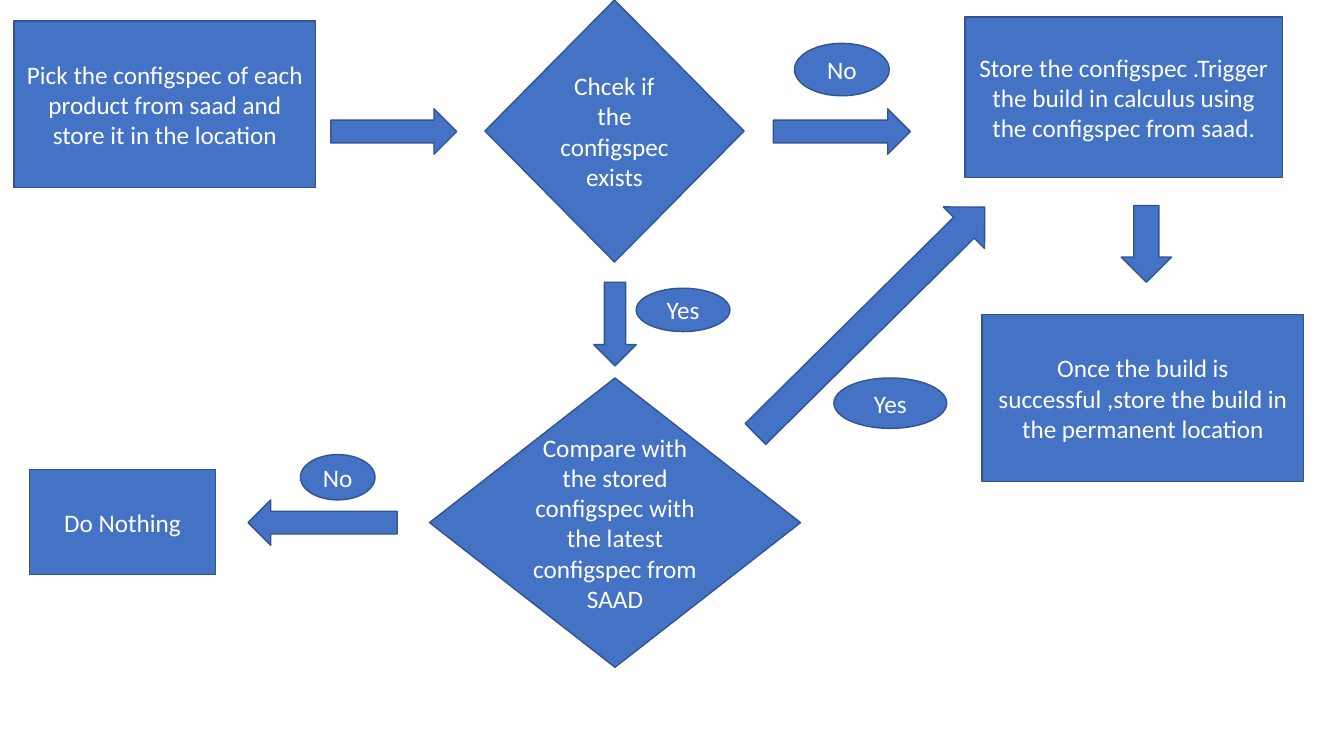
"""Draw the configspec build flowchart on one slide."""
from dataclasses import dataclass

from pptx import Presentation
from pptx.dml.color import RGBColor
from pptx.enum.shapes import MSO_SHAPE
from pptx.enum.text import MSO_ANCHOR, PP_ALIGN
from pptx.util import Inches, Pt

BOX = MSO_SHAPE.RECTANGLE
TEST = MSO_SHAPE.DIAMOND
OVAL = MSO_SHAPE.OVAL
RIGHT = MSO_SHAPE.RIGHT_ARROW
DOWN = MSO_SHAPE.DOWN_ARROW
CENTER = PP_ALIGN.CENTER
MIDDLE = MSO_ANCHOR.MIDDLE


@dataclass(frozen=True)
class Theme:
    """Hold the colours and type of the slide."""
    fill: RGBColor = RGBColor(0x44, 0x72, 0xC4)
    edge: RGBColor = RGBColor(0x32, 0x54, 0x91)
    ink: RGBColor = RGBColor(0xFF, 0xFF, 0xFF)
    font: str = "Calibri"
    size: Pt = Pt(18)
    line: Pt = Pt(1)


THEME = Theme()

STEPS = [
    (BOX, "Pick the configspec of each product from saad and store it in the location",
     (0.14, 0.21, 2.99, 1.65)),
    (TEST, "Compare with the stored configspec with the latest configspec from SAAD",
     (4.26, 3.75, 3.68, 2.87)),
    (TEST, "Chcek if the configspec exists", (4.81, 0, 2.57, 2.6)),
    (BOX, "Store the configspec .Trigger the build in calculus using the configspec from saad.",
     (9.57, 0.17, 3.15, 1.59)),
    (BOX, "Once the build is successful ,store the build in the permanent location",
     (9.74, 3.12, 3.19, 1.66)),
    (BOX, "Do Nothing", (0.29, 4.66, 1.85, 1.04)),
]

ARROWS = [
    (RIGHT, 0, (3.28, 1.08, 1.25, 0.45)),
    (RIGHT, 0, (7.67, 1.08, 1.36, 0.45)),
    (DOWN, 0, (5.89, 2.8, 0.42, 0.83)),
    (DOWN, 0, (11.12, 2.04, 0.5, 0.76)),
    (RIGHT, 315.3, (7.03, 2.89, 3.2, 0.58)),
    (RIGHT, 180, (2.46, 4.96, 1.48, 0.45)),
]

LABELS = [
    ("Yes", (6.31, 2.86, 0.93, 0.43)),
    ("No", (7.88, 0.43, 0.94, 0.52)),
    ("Yes", (8.27, 3.75, 1.12, 0.5)),
    ("No", (2.98, 4.51, 0.74, 0.45)),
]


def draw(slide, kind, area, text="", turn=0):
    """Add one themed shape with optional text and rotation."""
    shape = slide.shapes.add_shape(kind, *map(Inches, area))
    shape.rotation = turn
    shape.shadow.inherit = False
    shape.fill.solid()
    shape.fill.fore_color.rgb = THEME.fill
    shape.line.color.rgb = THEME.edge
    shape.line.width = THEME.line
    if text:
        frame = shape.text_frame
        frame.text = text
        frame.word_wrap = True
        frame.vertical_anchor = MIDDLE
        para = frame.paragraphs[0]
        para.alignment = CENTER
        font = para.runs[0].font
        font.name = THEME.font
        font.size = THEME.size
        font.color.rgb = THEME.ink


deck = Presentation()
deck.slide_width = Inches(13.33)
deck.slide_height = Inches(7.5)
slide = deck.slides.add_slide(deck.slide_layouts[6])

for kind, text, area in STEPS:
    draw(slide, kind, area, text)
for kind, turn, area in ARROWS:
    draw(slide, kind, area, turn=turn)
for text, area in LABELS:
    draw(slide, OVAL, area, text)

deck.save("out.pptx")
